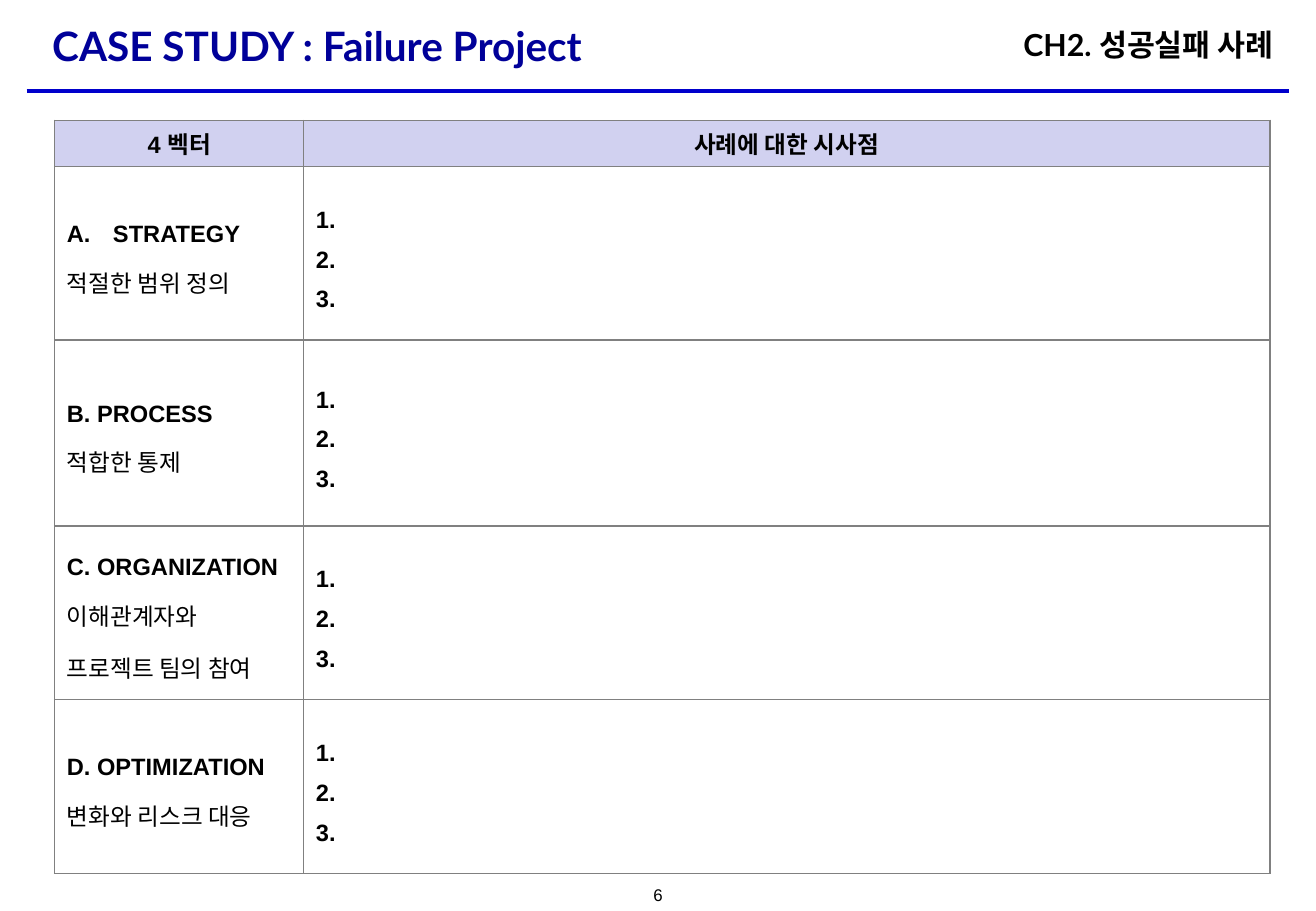
from lxml.etree import SubElement
from pptx import Presentation
from pptx.dml.color import RGBColor
from pptx.enum.shapes import MSO_CONNECTOR
from pptx.enum.text import MSO_ANCHOR, PP_ALIGN
from pptx.oxml.ns import qn
from pptx.util import Inches, Pt

# Content
TITLE = "CASE STUDY : Failure Project"
CHAPTER = "CH2. 성공실패 사례"
PAGE = "6"
HEADERS = ["4 벡터", "사례에 대한 시사점"]
# heading, automatic numbering of the heading, description lines, description font
VECTORS = [
    ("STRATEGY", "alphaUcPeriod", ["적절한 범위 정의"], "Cambria"),
    ("B. PROCESS", None, ["적합한 통제"], "Arial"),
    ("C. ORGANIZATION", None, ["이해관계자와", "프로젝트 팀의 참여"], "Cambria"),
    ("D. OPTIMIZATION", None, ["변화와 리스크 대응"], "Arial"),
]
OPEN_ITEMS = 3  # numbered items left open for answers
COL_WIDTHS = [2.05, 7.95]
ROW_HEIGHTS = [0.38, 1.43, 1.53, 1.43, 1.43]

# Formats
HEADING = dict(name="Arial", size=Pt(14), bold=True)
TITLE_FONT = dict(name="Lato", size=Pt(24), bold=True)
CHAPTER_FONT = dict(name="Lato", size=Pt(18), bold=True)
PAGE_FONT = dict(name="Arial", size=Pt(10), bold=False)
BORDER = "808080"


def rgb(value):
    return RGBColor.from_string(value)


def write(p, text, font, color="000000", align=PP_ALIGN.LEFT, spacing=None):
    p.alignment = align
    if spacing:
        p.line_spacing = spacing
    r = p.add_run()
    r.text = text
    for key, value in font.items():
        setattr(r.font, key, value)
    r.font.color.rgb = rgb(color)


def add_label(x, y, w, h, text, font, align):
    tf = s.shapes.add_textbox(Inches(x), Inches(y), Inches(w), Inches(h)).text_frame
    tf.word_wrap = False
    write(tf.paragraphs[0], text, font, align=align)


def add_numbering(p, scheme):
    pPr = p._p.get_or_add_pPr()
    pPr.set("marL", str(Inches(0.38)))
    pPr.set("indent", str(-Inches(0.38)))
    SubElement(pPr, qn("a:buFont"), typeface="Arial")
    SubElement(pPr, qn("a:buAutoNum"), type=scheme)


def add_borders(cell):
    tcPr = cell._tc.get_or_add_tcPr()
    for side in ("lnL", "lnR", "lnT", "lnB"):
        ln = SubElement(tcPr, qn(f"a:{side}"), w=str(Pt(1)))
        SubElement(SubElement(ln, qn("a:solidFill")), qn("a:srgbClr"), val=BORDER)


def fill_cell(cell, lines):
    cell.vertical_anchor = MSO_ANCHOR.MIDDLE
    tf = cell.text_frame
    for i, (text, font, scheme) in enumerate(lines):
        p = tf.add_paragraph() if i else tf.paragraphs[0]
        if scheme:
            add_numbering(p, scheme)
        write(p, text, font, spacing=1.5)


prs = Presentation()
prs.slide_width, prs.slide_height = Inches(10.83), Inches(7.5)
s = prs.slides.add_slide(prs.slide_layouts[5])

# Title, rule, chapter and page number
title = s.shapes.title
title.left, title.top = Inches(0.33), Inches(0.07)
title.width, title.height = Inches(10.17), Inches(0.6)
title.text_frame.vertical_anchor = MSO_ANCHOR.MIDDLE
write(title.text_frame.paragraphs[0], TITLE, TITLE_FONT, "000099")

rule = s.shapes.add_connector(MSO_CONNECTOR.STRAIGHT, Inches(0.22), Inches(0.75),
                              Inches(10.61), Inches(0.75))
rule.line.color.rgb = rgb("0000CC")
rule.line.width = Pt(2.25)
SubElement(rule._element.spPr, qn("a:effectLst"))

add_label(8.24, 0.17, 2.34, 0.4, CHAPTER, CHAPTER_FONT, PP_ALIGN.RIGHT)
add_label(5.21, 7.23, 0.41, 0.27, PAGE, PAGE_FONT, PP_ALIGN.CENTER)

# Table
table = s.shapes.add_table(len(ROW_HEIGHTS), len(COL_WIDTHS), Inches(0.45), Inches(0.99),
                           Inches(sum(COL_WIDTHS)), Inches(sum(ROW_HEIGHTS))).table
table.first_row = table.horz_banding = False
for column, width in zip(table.columns, COL_WIDTHS):
    column.width = Inches(width)
for row, height in zip(table.rows, ROW_HEIGHTS):
    row.height = Inches(height)
for cell in table.iter_cells():
    add_borders(cell)
    cell.fill.background()

# Header row
for c, text in enumerate(HEADERS):
    cell = table.cell(0, c)
    cell.fill.solid()
    cell.fill.fore_color.rgb = rgb("D1D1F0")
    cell.vertical_anchor = MSO_ANCHOR.MIDDLE
    write(cell.text_frame.paragraphs[0], text, HEADING, align=PP_ALIGN.CENTER)

# Vector rows
for r, (heading, scheme, description, font_name) in enumerate(VECTORS, start=1):
    body = dict(HEADING, name=font_name, bold=False)
    lines = [(heading, HEADING, scheme)] + [(text, body, None) for text in description]
    fill_cell(table.cell(r, 0), lines)
    fill_cell(table.cell(r, 1), [(" ", HEADING, "arabicPeriod")] * OPEN_ITEMS)

prs.save("out.pptx")
